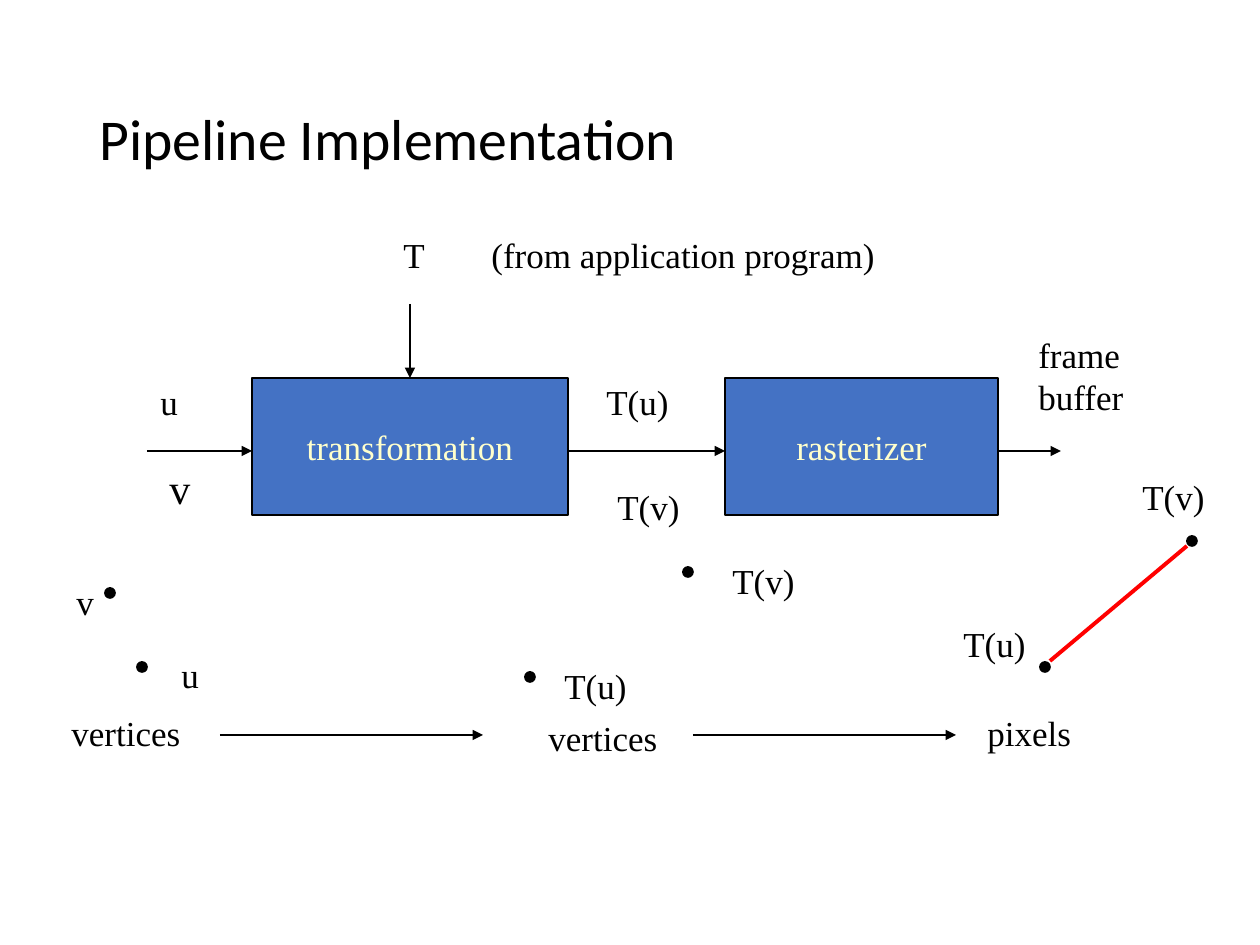
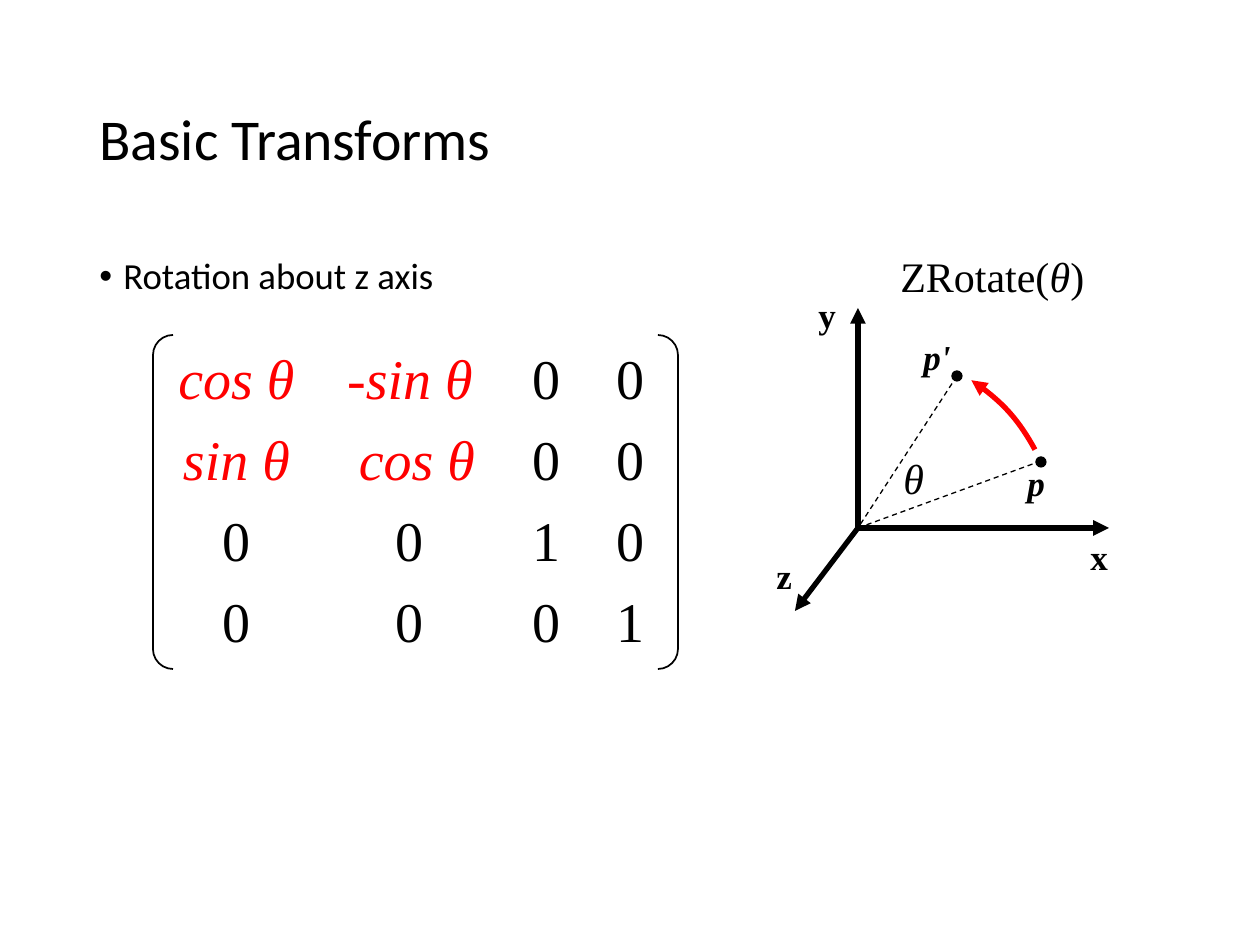
from lxml.etree import SubElement
from pptx import Presentation
from pptx.dml.color import RGBColor
from pptx.enum.dml import MSO_LINE
from pptx.enum.shapes import MSO_CONNECTOR, MSO_SHAPE
from pptx.enum.text import MSO_ANCHOR, PP_ALIGN
from pptx.oxml.ns import qn
from pptx.util import Inches, Pt

PX = 7257
COLORS = {name: RGBColor.from_string(value) for name, value in {
    "black": "000000", "red": "FF0000", "blue": "4472C4", "cream": "FFFFCC",
}.items()}
SERIF = "Times New Roman"
SANS = "Calibri"


def add_text(slide, text, left, top, width, height, size=20, font=SERIF,
             bold=False, italic=False):
    box = slide.shapes.add_textbox(left * PX, top * PX, width * PX, height * PX)
    frame = box.text_frame
    frame.text = text
    frame.word_wrap = True
    frame.margin_right = 0
    for paragraph in frame.paragraphs:
        for run in paragraph.runs:
            run.font.name = font
            run.font.size = Pt(size)
            run.font.bold = bold
            run.font.italic = italic
            run.font.color.rgb = COLORS["black"]
    return frame


def add_line(slide, start, end, width=1, color="black", arrow=True):
    line = slide.shapes.add_connector(
        MSO_CONNECTOR.STRAIGHT, start[0] * PX, start[1] * PX, end[0] * PX, end[1] * PX)
    line.line.color.rgb = COLORS[color]
    line.line.width = Pt(width)
    properties = line._element.spPr
    if arrow:
        SubElement(properties.find(qn("a:ln")), qn("a:tailEnd"), type="triangle")
    SubElement(properties, qn("a:effectLst"))
    return line


presentation = Presentation()
presentation.slide_width = Inches(10)
presentation.slide_height = Inches(7.5)

slides = []
for title in ("Pipeline Implementation", "Basic Transforms"):
    slide = presentation.slides.add_slide(presentation.slide_layouts[6])
    frame = add_text(slide, title, 87, 50, 1087, 183, size=33, font=SANS)
    frame.vertical_anchor = MSO_ANCHOR.MIDDLE
    frame.paragraphs[0].line_spacing = 0.9
    slides.append(slide)
pipeline, transforms = slides

stages = []
for name, left, width in (("transformation", 252, 316), ("rasterizer", 725, 273)):
    stage = pipeline.shapes.add_shape(
        MSO_SHAPE.RECTANGLE, left * PX, 378 * PX, width * PX, 137 * PX)
    stage.shadow.inherit = False
    stage.fill.solid()
    stage.fill.fore_color.rgb = COLORS["blue"]
    stage.line.color.rgb = COLORS["black"]
    stage.line.width = Pt(1)
    frame = stage.text_frame
    frame.text = name
    frame.word_wrap = False
    frame.vertical_anchor = MSO_ANCHOR.MIDDLE
    paragraph = frame.paragraphs[0]
    paragraph.alignment = PP_ALIGN.CENTER
    paragraph.font.name = SERIF
    paragraph.font.size = Pt(20)
    paragraph.font.color.rgb = COLORS["cream"]
    stages.append(stage)

for left, right, y in ((147, 252, 451), (568, 725, 451), (998, 1061, 451),
                       (220, 483, 735), (693, 956, 735)):
    add_line(pipeline, (left, y), (right, y))
matrix_input = add_line(pipeline, (410, 304), (410, 378))
matrix_input.end_connect(stages[0], 0)
add_line(pipeline, (1050, 661), (1187, 546), 2.25, "red", arrow=False)

add_text(pipeline, "v", 157, 456, 73, 63, size=24)
for text, left, top, width, height in (
    ("u", 169, 647, 43, 55),
    ("u", 148, 374, 43, 55),
    ("v", 64, 574, 43, 55),
    ("T", 391, 227, 47, 55),
    ("T(u)", 594, 374, 87, 55),
    ("T(v)", 605, 479, 87, 55),
    ("T(u)", 951, 616, 87, 55),
    ("T(u)", 552, 658, 87, 55),
    ("T(v)", 720, 553, 87, 55),
    ("T(v)", 1130, 469, 87, 55),
    ("vertices", 59, 705, 134, 55),
    ("vertices", 536, 710, 134, 55),
    ("pixels", 975, 705, 108, 55),
    ("frame\nbuffer", 1026, 327, 111, 97),
    ("(from application program)", 479, 227, 408, 55),
):
    add_text(pipeline, text, left, top, width, height)

frame = add_text(transforms, "Rotation about z axis", 87, 252, 1087, 600,
                 size=21, font=SANS)
paragraph = frame.paragraphs[0]
paragraph.line_spacing = 0.9
properties = paragraph._p.get_or_add_pPr()
properties.set("marL", str(24 * PX))
properties.set("indent", str(-24 * PX))
SubElement(properties, qn("a:buFont"), typeface="Arial")
SubElement(properties, qn("a:buChar"), char="•")

bracket = transforms.shapes.add_shape(
    MSO_SHAPE.DOUBLE_BRACKET, 153 * PX, 335 * PX, 525 * PX, 334 * PX)
bracket.adjustments[0] = 0.06

for column, left, width in (
    (("cos θ", "sin θ", "0", "0"), 163, 147),
    (("-sin θ", "cos θ", "0", "0"), 331, 158),
    (("0", "0", "1", "0"), 510, 73),
    (("0", "0", "0", "1"), 594, 73),
):
    frame = add_text(transforms, "\n".join(column), left, 344, width, 310, size=32)
    frame.margin_left = frame.margin_top = frame.margin_bottom = 0
    for row, paragraph in enumerate(frame.paragraphs):
        paragraph.alignment = PP_ALIGN.CENTER
        if row:
            paragraph.space_before = Pt(7.7)
        if "θ" in paragraph.text:
            paragraph.runs[0].font.italic = True
            paragraph.runs[0].font.color.rgb = COLORS["red"]
        if row and paragraph.text == "cos θ":
            paragraph._p.get_or_add_pPr().set("marL", str(14 * PX))

frame = add_text(transforms, "ZRotate(", 888, 244, 326, 63, size=24)
for text, italic in (("θ", True), (")", False)):
    run = frame.paragraphs[0].add_run()
    run.text = text
    run.font.name = SERIF
    run.font.size = Pt(24)
    run.font.italic = italic
    run.font.color.rgb = COLORS["black"]

origin = (858, 528)
for axis_end in ((858, 308), (1109, 528), (795, 611)):
    add_line(transforms, origin, axis_end, 3)
for point in ((957, 376), (1041, 461)):
    ray = add_line(transforms, point, origin, 0.75, arrow=False)
    ray.line.dash_style = MSO_LINE.DASH

for text, left, top, width, italic in (
    ("x", 1078, 529, 42, False),
    ("y", 806, 287, 42, False),
    ("z", 764, 548, 42, False),
    ("p", 1015, 455, 42, True),
    ("p'", 911, 329, 63, True),
):
    add_text(transforms, text, left, top, width, 55, bold=True, italic=italic)
add_text(transforms, "θ", 891, 446, 45, 63, size=24, italic=True)

rotation = transforms.shapes.add_shape(
    MSO_SHAPE.ARC, 681 * PX, 350 * PX, 376 * PX, 376 * PX)
for index, degrees in enumerate((303, 332)):
    rotation.adjustments[index] = degrees * 0.6
for outline, color, width in ((bracket, "black", 1), (rotation, "red", 3)):
    outline.shadow.inherit = False
    outline.fill.background()
    outline.line.color.rgb = COLORS[color]
    outline.line.width = Pt(width)
SubElement(rotation._element.spPr.find(qn("a:ln")), qn("a:headEnd"), type="triangle")

pipeline_points = ((1045, 667), (1192, 541), (142, 667), (110, 593), (530, 677), (688, 572))
rotation_points = ((1041, 462), (957, 376))
for slide, points, width in ((pipeline, pipeline_points, 1),
                             (transforms, rotation_points, 0.75)):
    for x, y in points:
        dot = slide.shapes.add_shape(
            MSO_SHAPE.OVAL, (x - 5) * PX, (y - 5) * PX, 10 * PX, 10 * PX)
        dot.shadow.inherit = False
        dot.fill.solid()
        dot.fill.fore_color.rgb = COLORS["black"]
        dot.line.color.rgb = COLORS["black"]
        dot.line.width = Pt(width)

presentation.save("out.pptx")
